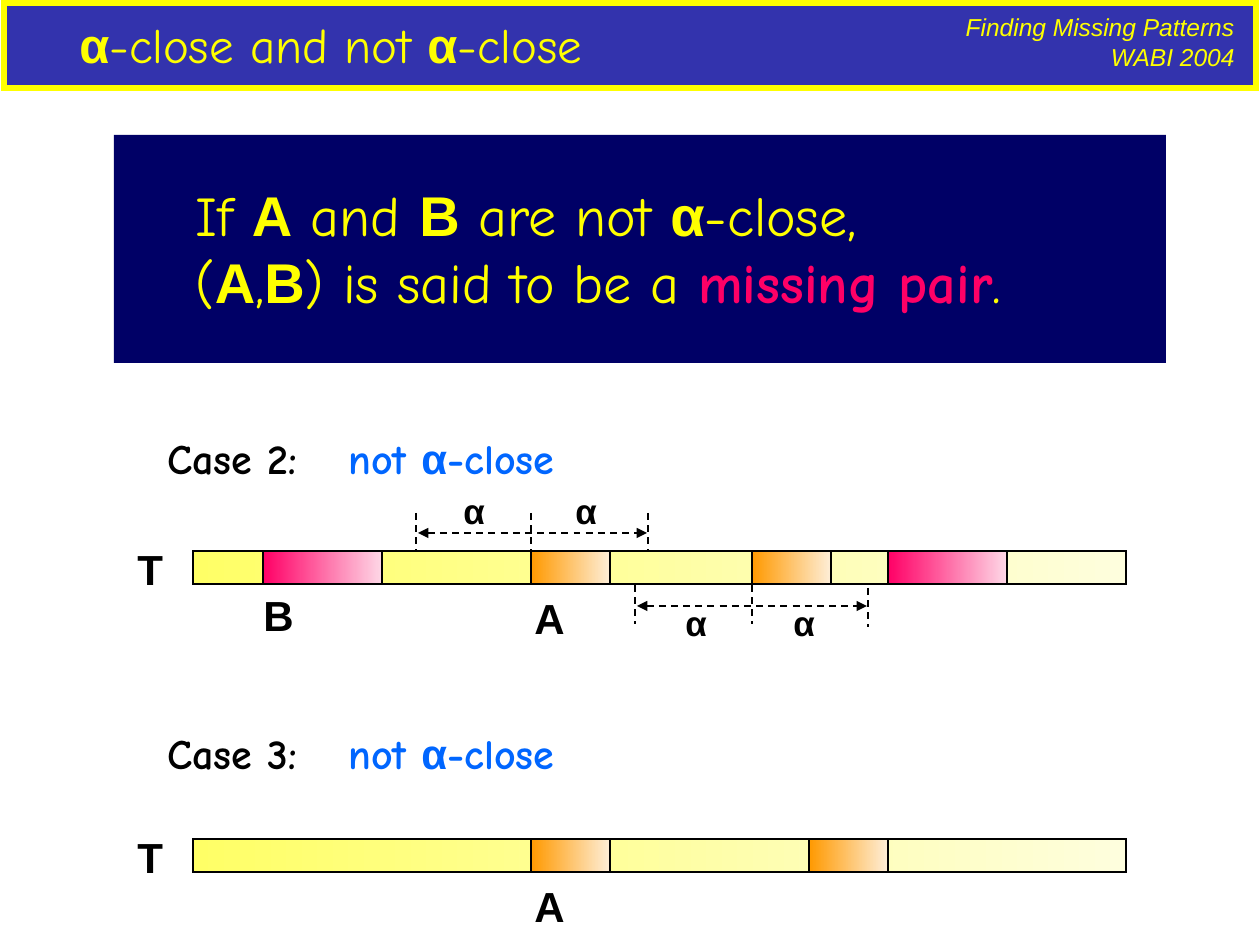
import pptx
import pptx.util
import pptx.dml.color
import pptx.enum.dml
import pptx.enum.shapes
import pptx.enum.text
import pptx.oxml.ns
import lxml.etree

EMU_PER_PX = 914400 / 126
COLORS = {
    "yellow": "FFFF00", "header": "000099", "panel": "000066", "black": "000000",
    "blue": "0066FF", "pink": "FF0066",
}
GRADIENTS = {
    "T": ("FEFEDD", "FFFF66"),
    "A": ("FEEED7", "FF9900"),
    "B": ("FED7E6", "FF0066"),
}
SEGMENT_WIDTHS = {"A": 79, "B": 119}
BAR_LEFT, BAR_WIDTH, BAR_HEIGHT = 193, 933, 33
SYMBOLS = ("α", "A", "B", "T")


def px(value):
    return pptx.util.Emu(round(value * EMU_PER_PX))


def rgb(name):
    return pptx.dml.color.RGBColor.from_string(COLORS[name])


def add_child(parent, tag, **attributes):
    return lxml.etree.SubElement(parent, pptx.oxml.ns.qn(tag), **attributes)


def add_rectangle(page, left, top, width, height):
    box = page.shapes.add_shape(
        pptx.enum.shapes.MSO_SHAPE.RECTANGLE, px(left), px(top), px(width), px(height))
    box.shadow.inherit = False
    return box


def add_solid(page, left, top, width, height, color):
    box = add_rectangle(page, left, top, width, height)
    box.fill.solid()
    box.fill.fore_color.rgb = rgb(color)
    box.line.fill.background()
    return box


def set_outline(box, color, points):
    box.line.color.rgb = rgb(color)
    box.line.width = pptx.util.Pt(points)
    outline = box._element.spPr.find(pptx.oxml.ns.qn("a:ln"))
    add_child(outline, "a:miter", lim="800000")


def add_segment(page, kind, left, top, width):
    box = add_rectangle(page, left, top, width, BAR_HEIGHT)
    box.fill.gradient()
    box.fill.gradient_angle = 180
    for stop, color in zip(box.fill.gradient_stops, GRADIENTS[kind]):
        stop.color.rgb = pptx.dml.color.RGBColor.from_string(color)
    set_outline(box, "black", 1)


def add_text(page, left, top, width, height, lines, size, color,
             bold=False, italic=False, font="Comic Neue", align="LEFT"):
    box = page.shapes.add_textbox(px(left), px(top), px(width), px(height))
    frame = box.text_frame
    frame.word_wrap = True
    for index, pieces in enumerate(lines):
        para = frame.add_paragraph() if index else frame.paragraphs[0]
        para.alignment = getattr(pptx.enum.text.PP_ALIGN, align)
        for piece in pieces:
            emphasis = piece == "missing pair"
            symbol = piece in SYMBOLS
            span = para.add_run()
            span.text = piece
            span.font.size = pptx.util.Pt(size)
            span.font.name = "Arial" if symbol else font
            span.font.bold = bold or symbol or emphasis
            span.font.italic = italic
            span.font.color.rgb = rgb("pink" if emphasis else color)


def add_dashed_line(page, start, end, arrows=False):
    line = page.shapes.add_connector(
        pptx.enum.shapes.MSO_CONNECTOR.STRAIGHT, *map(px, start + end))
    line.line.color.rgb = rgb("black")
    line.line.width = pptx.util.Pt(1)
    line.line.dash_style = pptx.enum.dml.MSO_LINE.DASH
    properties = line._element.spPr
    if arrows:
        outline = properties.find(pptx.oxml.ns.qn("a:ln"))
        for tag in ("a:headEnd", "a:tailEnd"):
            add_child(outline, tag, type="triangle")
    add_child(properties, "a:effectLst")


def add_span_marks(page, ticks, arrow_y, label_lefts, label_top):
    for x, y in ticks:
        add_dashed_line(page, (x, y), (x, y + 39))
    add_dashed_line(page, (ticks[0][0] + 2, arrow_y), (ticks[-1][0] - 1, arrow_y), True)
    for left in label_lefts:
        add_text(page, left, label_top, 52, 55, [["α"]], 20, "black")


def add_case(page, number, heading_top, bar_top, segments):
    add_text(page, 155, heading_top, 175, 63, [[f"Case {number}:"]], 24, "black", bold=True)
    add_text(page, 336, heading_top, 250, 63, [["not ", "α", "-close"]], 24, "blue", bold=True)
    add_segment(page, "T", BAR_LEFT, bar_top, BAR_WIDTH)
    for kind, left in segments:
        add_segment(page, kind, left, bar_top, SEGMENT_WIDTHS[kind])
    add_text(page, 125, bar_top - 14, 60, 63, [["T"]], 24, "black")
    add_text(page, 522, bar_top + 35, 60, 63, [["A"]], 24, "black")


def add_header(page):
    band = add_solid(page, 4, 3, 1252, 85, "header")
    color = band._element.spPr.find(".//" + pptx.oxml.ns.qn("a:srgbClr"))
    add_child(color, "a:alpha", val="80000")
    set_outline(band, "yellow", 3)
    add_text(page, 927, 6, 320, 72, [["Finding Missing Patterns"], ["WABI 2004"]], 14,
             "yellow", italic=True, font="Arial", align="RIGHT")
    add_text(page, 67, 8, 560, 72, [["α", "-close and not ", "α", "-close"]], 28, "yellow")


def add_definition(page):
    add_solid(page, 114, 135, 1052, 228, "panel")
    add_text(page, 183, 174, 903, 147, [
        ["If ", "A", " and ", "B", " are not ", "α", "-close,"],
        ["(", "A", ",", "B", ") is said to be a ", "missing pair", "."],
    ], 32, "yellow")


def main():
    deck = pptx.Presentation()
    deck.slide_width, deck.slide_height = px(1260), px(945)
    page = deck.slides.add_slide(deck.slide_layouts[6])
    add_header(page)
    add_definition(page)
    add_case(page, 2, 426, 551, [("A", 752), ("A", 531), ("B", 263), ("B", 888)])
    add_text(page, 251, 583, 60, 63, [["B"]], 24, "black")
    add_span_marks(page, [(416, 513), (531, 513), (648, 513)], 533, (451, 563), 483)
    add_span_marks(page, [(635, 585), (752, 585), (868, 588)], 606, (673, 781), 595)
    add_case(page, 3, 721, 839, [("A", 809), ("A", 531)])
    deck.save("out.pptx")


if __name__ == "__main__":
    main()
